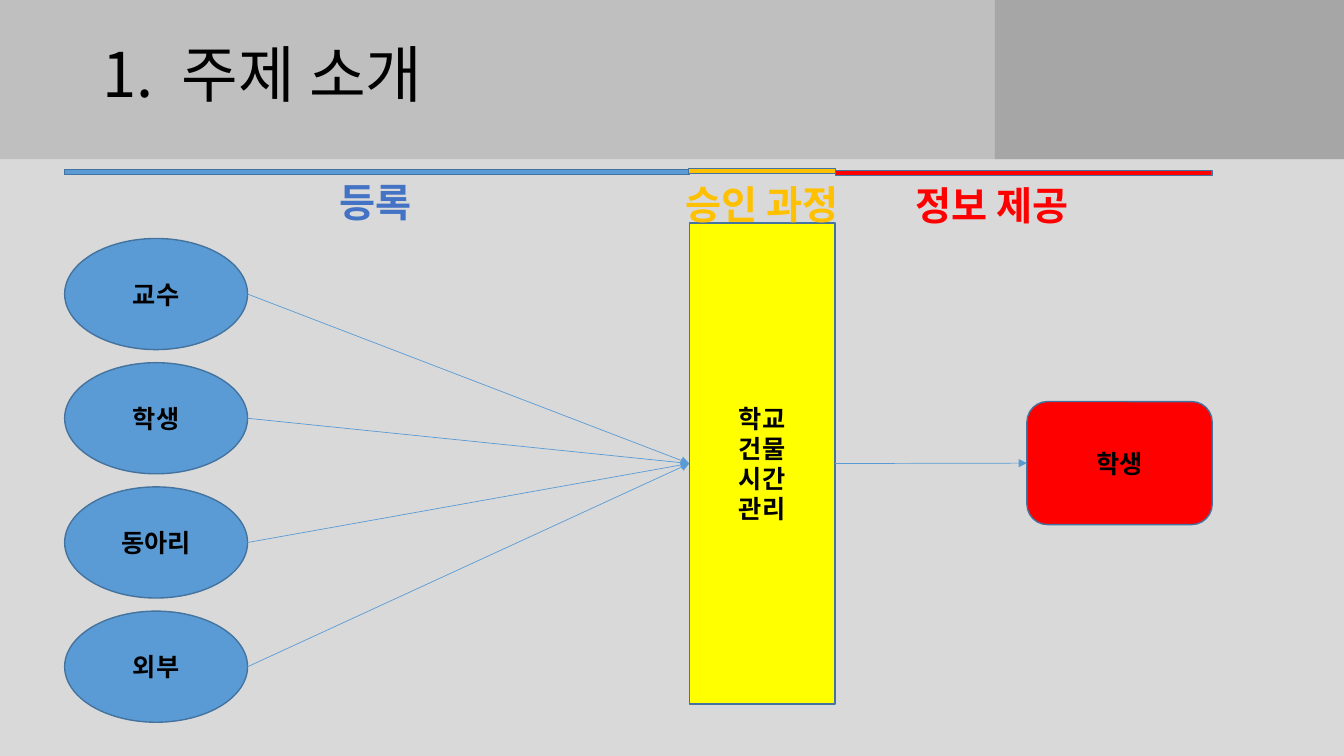
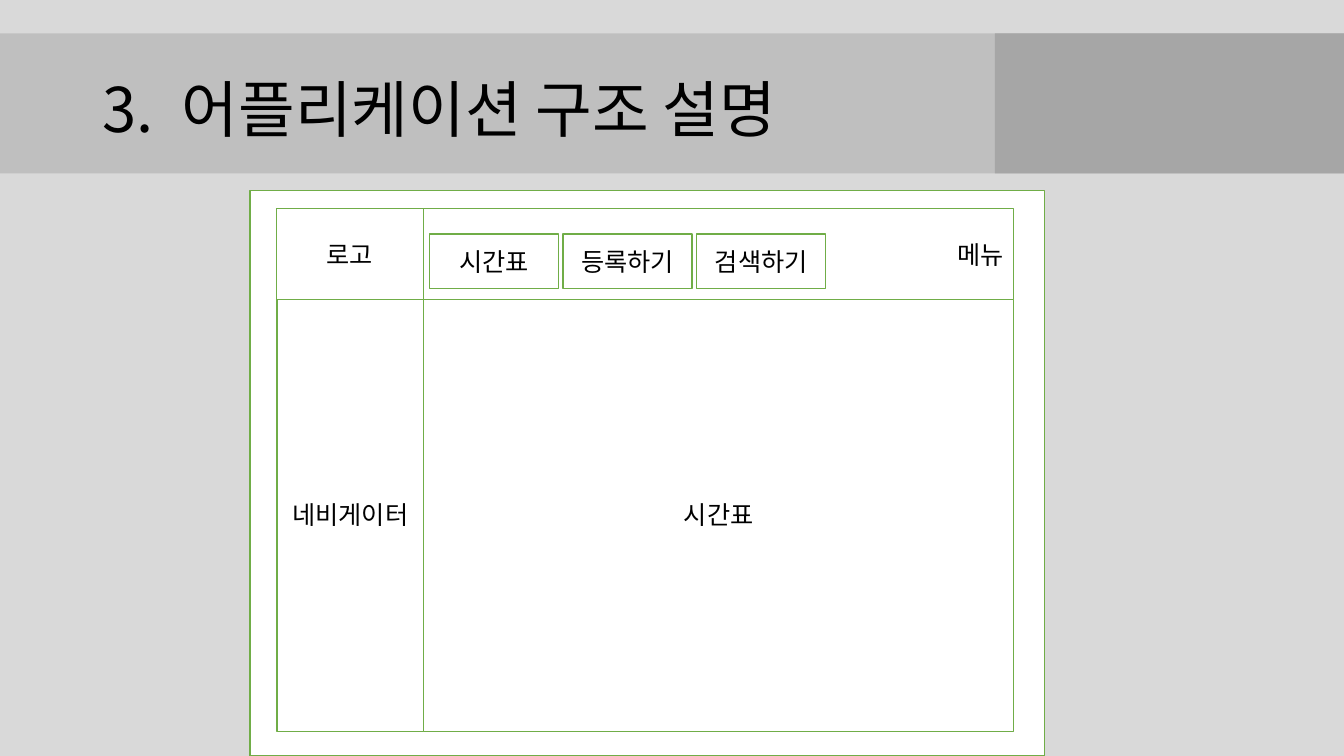
from lxml import etree
from pptx import Presentation
from pptx import util as u
from pptx.dml.color import RGBColor
from pptx.enum import shapes, text
from pptx.oxml import ns

FONT = "Noto Sans CJK KR"
BLACK = RGBColor(0x00, 0x00, 0x00)
WHITE = RGBColor(0xFF, 0xFF, 0xFF)
BACKDROP = RGBColor(0xD9, 0xD9, 0xD9)
BAND = RGBColor(0xBF, 0xBF, 0xBF)
BAND_END = RGBColor(0xA6, 0xA6, 0xA6)
BLUE = RGBColor(0x5B, 0x9B, 0xD5)
NAVY = RGBColor(0x43, 0x73, 0x9E)
ROYAL = RGBColor(0x44, 0x72, 0xC4)
AMBER = RGBColor(0xFF, 0xC0, 0x00)
YELLOW = RGBColor(0xFF, 0xFF, 0x00)
RED = RGBColor(0xFF, 0x00, 0x00)
GREEN = RGBColor(0x70, 0xAD, 0x47)

RECT = shapes.MSO_SHAPE.RECTANGLE
OVAL = shapes.MSO_SHAPE.OVAL
ROUNDED = shapes.MSO_SHAPE.ROUNDED_RECTANGLE
LEFT, CENTER, RIGHT = text.PP_ALIGN.LEFT, text.PP_ALIGN.CENTER, text.PP_ALIGN.RIGHT
MIDDLE, TOP = text.MSO_ANCHOR.MIDDLE, text.MSO_ANCHOR.TOP

PAGE_WIDTH, PAGE_HEIGHT = 33.87, 19.05
BAND_END_LEFT = 25.07

SOURCES = ["교수", "학생", "동아리", "외부"]
SOURCE_AREA = (1.63, 6.01, 4.61, 2.8)
SOURCE_PITCH = 3.13
GATE = ["학교", "건물", "시간", "관리"]
GATE_AREA = (17.37, 5.62, 3.67, 12.12)
READER = "학생"
READER_AREA = (25.88, 10.12, 4.67, 3.1)
STAGES = [
    ("등록", ROYAL, (8.2, 4.37, 2.51, 1.45), BLUE, (1.63, 4.27, 15.75, 0.13)),
    ("정보 제공", RED, (22.58, 4.45, 4.85, 1.45), RED, (21.05, 4.29, 9.5, 0.13)),
    ("승인 과정", AMBER, (16.79, 4.42, 4.85, 1.45), AMBER, (17.35, 4.24, 3.71, 0.13)),
]

PANELS = [
    ("", CENTER, (6.3, 4.8, 20.02, 14.25)),
    ("시간표", CENTER, (10.67, 7.49, 14.88, 10.95)),
    ("메뉴", RIGHT, (10.67, 5.26, 14.88, 2.29)),
    ("네비게이터", CENTER, (6.98, 7.49, 3.7, 10.95)),
    ("로고", CENTER, (6.97, 5.26, 3.7, 2.29)),
]
BUTTONS = ["시간표", "등록하기", "검색하기"]
BUTTON_AREA = (10.82, 5.9, 3.25, 1.37)
BUTTON_PITCH = 3.37


def lengths(values):
    return [u.Cm(value) for value in values]


def add_span(para, words, size=18, color=BLACK, bold=False, tracking=0, outline=None):
    span = para.add_run()
    span.text = words
    span.font.size = u.Pt(size)
    span.font.bold = bold
    span.font.color.rgb = color
    span.font.name = FONT
    props = span.font._element
    etree.SubElement(props, ns.qn("a:ea")).set("typeface", FONT)
    if tracking:
        props.set("spc", str(tracking * 100))
    if outline is not None:
        edge = etree.Element(ns.qn("a:ln"), w=str(u.Pt(0.75)))
        fill = etree.SubElement(edge, ns.qn("a:solidFill"))
        etree.SubElement(fill, ns.qn("a:srgbClr")).set("val", str(outline))
        props.insert(0, edge)


def write(box, lines, align=CENTER, anchor=MIDDLE, wrap=True, **style):
    frame = box.text_frame
    frame.word_wrap = wrap
    frame.vertical_anchor = anchor
    for index, words in enumerate(lines):
        para = frame.paragraphs[0] if index == 0 else frame.add_paragraph()
        para.alignment = align
        add_span(para, words, **style)


def add_block(page, area, fill, line=None, kind=RECT):
    box = page.shapes.add_shape(kind, *lengths(area))
    box.shadow.inherit = False
    box.fill.solid()
    box.fill.fore_color.rgb = fill
    if line is None:
        box.line.fill.background()
    else:
        box.line.color.rgb = line
        box.line.width = u.Pt(1)
    return box


def add_arrow(page, start, end):
    arrow = page.shapes.add_connector(
        shapes.MSO_CONNECTOR.STRAIGHT, *lengths(start + end))
    arrow.line.color.rgb = BLUE
    arrow.line.width = u.Pt(0.5)
    etree.SubElement(arrow.line._get_or_add_ln(), ns.qn("a:tailEnd")).set("type", "triangle")
    etree.SubElement(arrow._element.spPr, ns.qn("a:effectLst"))


def left_middle(area):
    left, top, width, height = area
    return left, top + height / 2


def right_middle(area):
    left, top, width, height = area
    return left + width, top + height / 2


def add_page(deck, number, title, band_top, band_height):
    page = deck.slides.add_slide(deck.slide_layouts[6])
    page.background.fill.solid()
    page.background.fill.fore_color.rgb = BACKDROP
    for left, color in ((0, BAND), (BAND_END_LEFT, BAND_END)):
        add_block(page, (left, band_top, PAGE_WIDTH - left, band_height), color)
    box = page.shapes.add_textbox(*lengths((2.34, band_top + 0.15, 29.21, 3.68)))
    write(box, [number], align=LEFT, size=44)
    para = box.text_frame.paragraphs[0]
    para.line_spacing = 0.9
    add_span(para, " ", size=44, tracking=10)
    add_span(para, title, size=44)
    return page


def build_topic(deck):
    page = add_page(deck, "1.", "주제 소개", -0.03, 4.04)
    left, top, width, height = SOURCE_AREA
    for index, name in enumerate(SOURCES):
        area = (left, top + index * SOURCE_PITCH, width, height)
        write(add_block(page, area, BLUE, NAVY, OVAL), [name], bold=True)
        add_arrow(page, right_middle(area), left_middle(GATE_AREA))
    write(add_block(page, GATE_AREA, YELLOW, NAVY), GATE, bold=True)
    write(add_block(page, READER_AREA, RED, NAVY, ROUNDED), [READER], bold=True)
    add_arrow(page, right_middle(GATE_AREA), left_middle(READER_AREA))
    for name, color, label_area, bar_color, bar_area in STAGES:
        add_block(page, bar_area, bar_color, NAVY)
        label = page.shapes.add_textbox(*lengths(label_area))
        write(label, [name], anchor=TOP, wrap=False, size=28, color=color,
              bold=True, outline=WHITE)


def build_structure(deck):
    page = add_page(deck, "3.", "어플리케이션 구조 설명", 0.84, 3.53)
    left, top, width, height = BUTTON_AREA
    buttons = [(name, CENTER, (left + index * BUTTON_PITCH, top, width, height))
               for index, name in enumerate(BUTTONS)]
    for name, align, area in PANELS + buttons:
        box = add_block(page, area, WHITE, GREEN)
        if name:
            write(box, [name], align=align)


def main():
    deck = Presentation()
    deck.slide_width, deck.slide_height = lengths((PAGE_WIDTH, PAGE_HEIGHT))
    build_topic(deck)
    build_structure(deck)
    deck.save("out.pptx")


if __name__ == "__main__":
    main()
